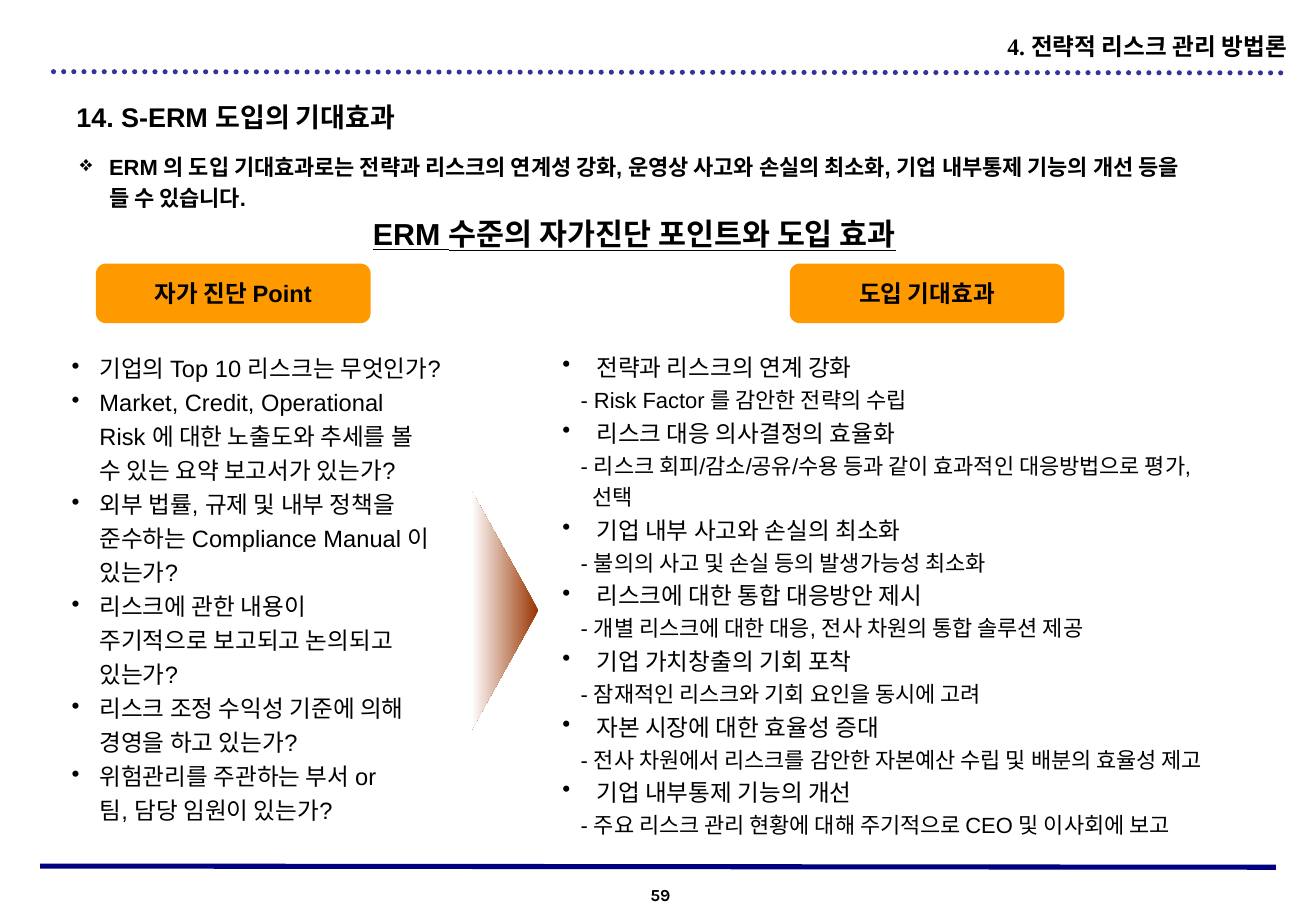
from lxml.etree import SubElement
from pptx import Presentation
from pptx.dml.color import RGBColor
from pptx.enum.dml import MSO_LINE
from pptx.enum.shapes import MSO_CONNECTOR, MSO_SHAPE
from pptx.enum.text import MSO_ANCHOR, PP_ALIGN
from pptx.oxml.ns import qn
from pptx.util import Inches, Pt

QUESTIONS = [
    "기업의 Top 10 리스크는 무엇인가?",
    "Market, Credit, Operational Risk 에 대한 노출도와 추세를 볼 수 있는 요약 보고서가 있는가?",
    "외부 법률, 규제 및 내부 정책을 준수하는 Compliance Manual 이 있는가?",
    "리스크에 관한 내용이\n주기적으로 보고되고 논의되고 있는가?",
    "리스크 조정 수익성 기준에 의해 경영을 하고 있는가?",
    "위험관리를 주관하는 부서 or\n팀, 담당 임원이 있는가?",
]
EFFECTS = [
    ("전략과 리스크의 연계 강화", "- Risk Factor 를 감안한 전략의 수립"),
    ("리스크 대응 의사결정의 효율화",
     "- 리스크 회피/감소/공유/수용 등과 같이 효과적인 대응방법으로 평가,\n선택"),
    ("기업 내부 사고와 손실의 최소화", "- 불의의 사고 및 손실 등의 발생가능성 최소화"),
    ("리스크에 대한 통합 대응방안 제시", "- 개별 리스크에 대한 대응, 전사 차원의 통합 솔루션 제공"),
    ("기업 가치창출의 기회 포착", "- 잠재적인 리스크와 기회 요인을 동시에 고려"),
    ("자본 시장에 대한 효율성 증대",
     "- 전사 차원에서 리스크를 감안한 자본예산 수립 및 배분의 효율성 제고"),
    ("기업 내부통제 기능의 개선", "- 주요 리스크 관리 현황에 대해 주기적으로 CEO 및 이사회에 보고"),
]


def color(value):
    """Turn a hex string into a colour."""
    return RGBColor.from_string(value)


def add_text(paragraph, text, size, bold=False, font="Arial", underline=False):
    """Add one run for each line of the text."""
    for number, line in enumerate(text.split("\n")):
        if number:
            paragraph.add_line_break()
        run = paragraph.add_run()
        run.text = line
        run.font.size = Pt(size)
        run.font.bold = bold
        run.font.name = font
        run.font.underline = underline
        run.font.color.rgb = color("000000")


def add_box(slide, left, top, width, height, anchor=MSO_ANCHOR.TOP):
    """Add an empty wrapping text box and return its text frame."""
    box = slide.shapes.add_textbox(Inches(left), Inches(top), Inches(width), Inches(height))
    box.text_frame.word_wrap = True
    box.text_frame.vertical_anchor = anchor
    return box.text_frame


def add_label(slide, place, text, size, align=PP_ALIGN.LEFT, anchor=MSO_ANCHOR.TOP,
              font="Arial", underline=False):
    """Add a bold text of one line."""
    paragraph = add_box(slide, *place, anchor).paragraphs[0]
    paragraph.alignment = align
    add_text(paragraph, text, size, True, font, underline)


def add_list(slide, place, items, anchor=MSO_ANCHOR.MIDDLE, bold=False):
    """Add paragraphs given as text, size, bullet, left margin and hanging indent."""
    frame = add_box(slide, *place, anchor)
    for number, (text, size, bullet, margin, hanging) in enumerate(items):
        paragraph = frame.add_paragraph() if number else frame.paragraphs[0]
        properties = paragraph._p.get_or_add_pPr()
        properties.set("marL", str(Inches(margin)))
        properties.set("indent", str(-Inches(hanging)))
        if bullet:
            SubElement(properties, qn("a:buChar")).set("char", bullet)
        paragraph.line_spacing = 1.2
        add_text(paragraph, text, size, bold)


def add_rule(slide, start, end, line_color, dash=None):
    """Add a straight rule across the slide."""
    rule = slide.shapes.add_connector(
        MSO_CONNECTOR.STRAIGHT, *(Inches(length) for length in start + end))
    rule.line.color.rgb = color(line_color)
    rule.line.width = Pt(3)
    properties = rule._element.spPr
    if dash:
        rule.line.dash_style = dash
        properties.find(qn("a:ln")).set("cap", "rnd")
    SubElement(properties, qn("a:effectLst"))


def add_column_title(slide, left, text):
    """Add an orange rounded title above a column."""
    shape = slide.shapes.add_shape(
        MSO_SHAPE.ROUNDED_RECTANGLE, Inches(left), Inches(2.17), Inches(2.26), Inches(0.49))
    shape.shadow.inherit = False
    shape.fill.solid()
    shape.fill.fore_color.rgb = color("FF9900")
    shape.line.fill.background()
    shape.text_frame.vertical_anchor = MSO_ANCHOR.MIDDLE
    paragraph = shape.text_frame.paragraphs[0]
    paragraph.alignment = PP_ALIGN.CENTER
    add_text(paragraph, text, 14, True)


def add_pointer(slide):
    """Add the shaded triangle that points from questions to effects."""
    shape = slide.shapes.add_shape(
        MSO_SHAPE.ISOSCELES_TRIANGLE, Inches(3.17), Inches(4.75), Inches(1.97), Inches(0.55))
    shape.rotation = 90
    shape.shadow.inherit = False
    shape.line.fill.background()
    shape.fill.gradient()
    shape.fill.gradient_angle = 270
    for stop, position, value in zip(shape.fill.gradient_stops, (0, 1), ("993300", "FFFFFF")):
        stop.position = position
        stop.color.rgb = color(value)


def main():
    """Build and save the slide."""
    presentation = Presentation()
    presentation.slide_width = Inches(10.83)
    presentation.slide_height = Inches(7.5)
    slide = presentation.slides.add_slide(presentation.slide_layouts[6])

    add_label(slide, (5.01, 7.23, 0.85, 0.27), "59", 10, PP_ALIGN.CENTER, font="Karla")
    add_rule(slide, (10.5, 7.14), (0.33, 7.13), "000080")
    add_rule(slide, (10.54, 0.6), (0.38, 0.59), "333399", MSO_LINE.ROUND_DOT)
    add_label(slide, (7.55, 0.21, 3.14, 0.33), "4. 전략적 리스크 관리 방법론", 14,
              PP_ALIGN.RIGHT, font="Times New Roman")
    add_label(slide, (0.53, 0.78, 4.81, 0.37), "14. S-ERM 도입의 기대효과", 16)
    summary = ("ERM 의 도입 기대효과로는 전략과 리스크의 연계성 강화, 운영상 사고와 손실의 최소화, "
               "기업 내부통제 기능의 개선 등을 들 수 있습니다.")
    add_list(slide, (0.56, 1.17, 9.26, 0.69), [(summary, 13, "❖", 0.24, 0.24)],
             MSO_ANCHOR.TOP, True)
    add_label(slide, (2.66, 1.68, 5.12, 0.49), "ERM 수준의 자가진단 포인트와 도입 효과", 18,
              PP_ALIGN.CENTER, MSO_ANCHOR.MIDDLE, underline=True)

    add_column_title(slide, 0.79, "자가 진단 Point")
    add_column_title(slide, 6.5, "도입 기대효과")
    add_list(slide, (0.49, 2.86, 3.15, 3.94),
             [(question, 14, "•", 0.23, 0.23) for question in QUESTIONS])
    add_pointer(slide)
    effects = []
    for effect, detail in EFFECTS:
        effects += [(effect, 14, "•", 0.28, 0.28), (detail, 13, None, 0.25, 0.1)]
    add_list(slide, (4.53, 2.86, 6.1, 4.04), effects)

    presentation.save("out.pptx")


if __name__ == "__main__":
    main()
